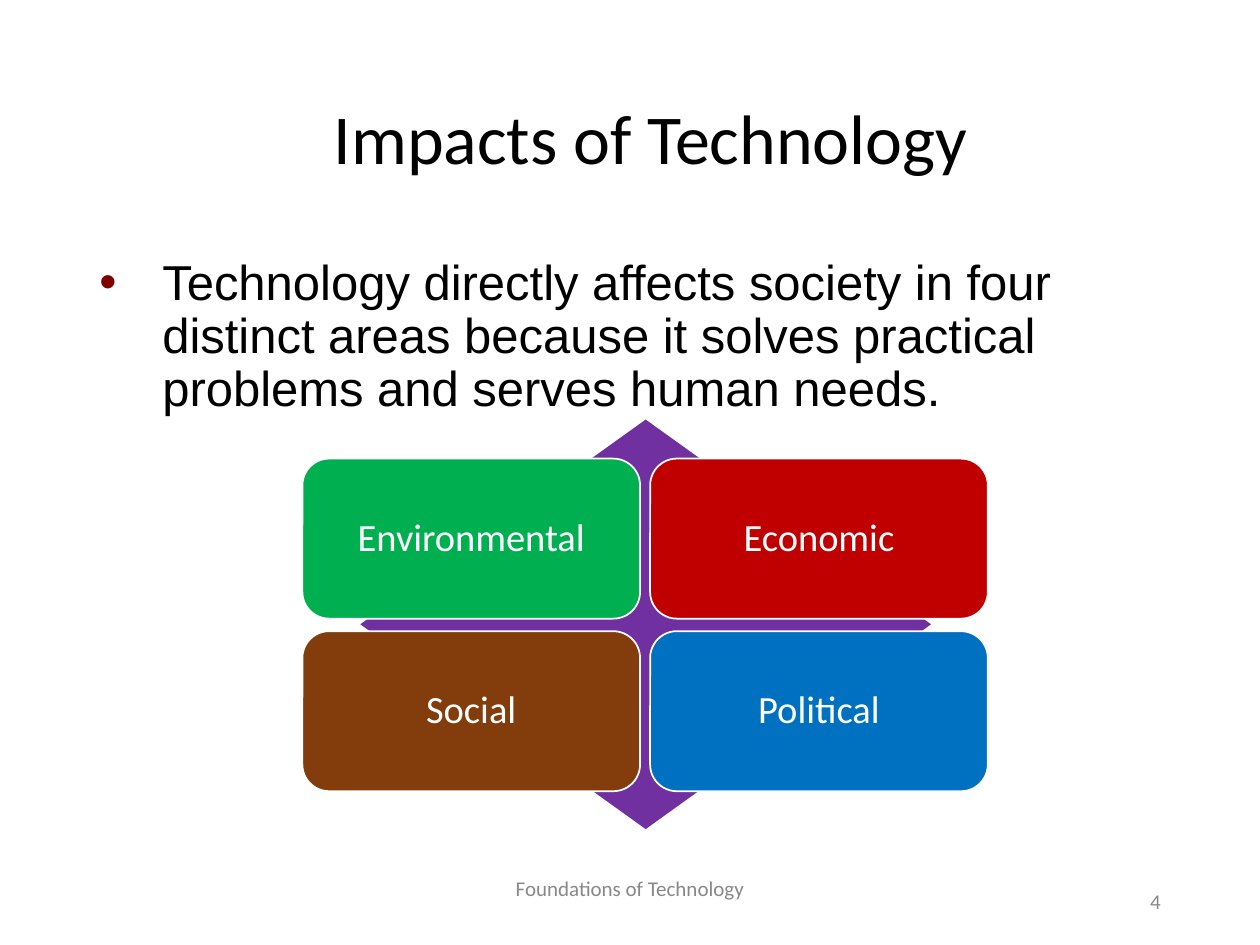
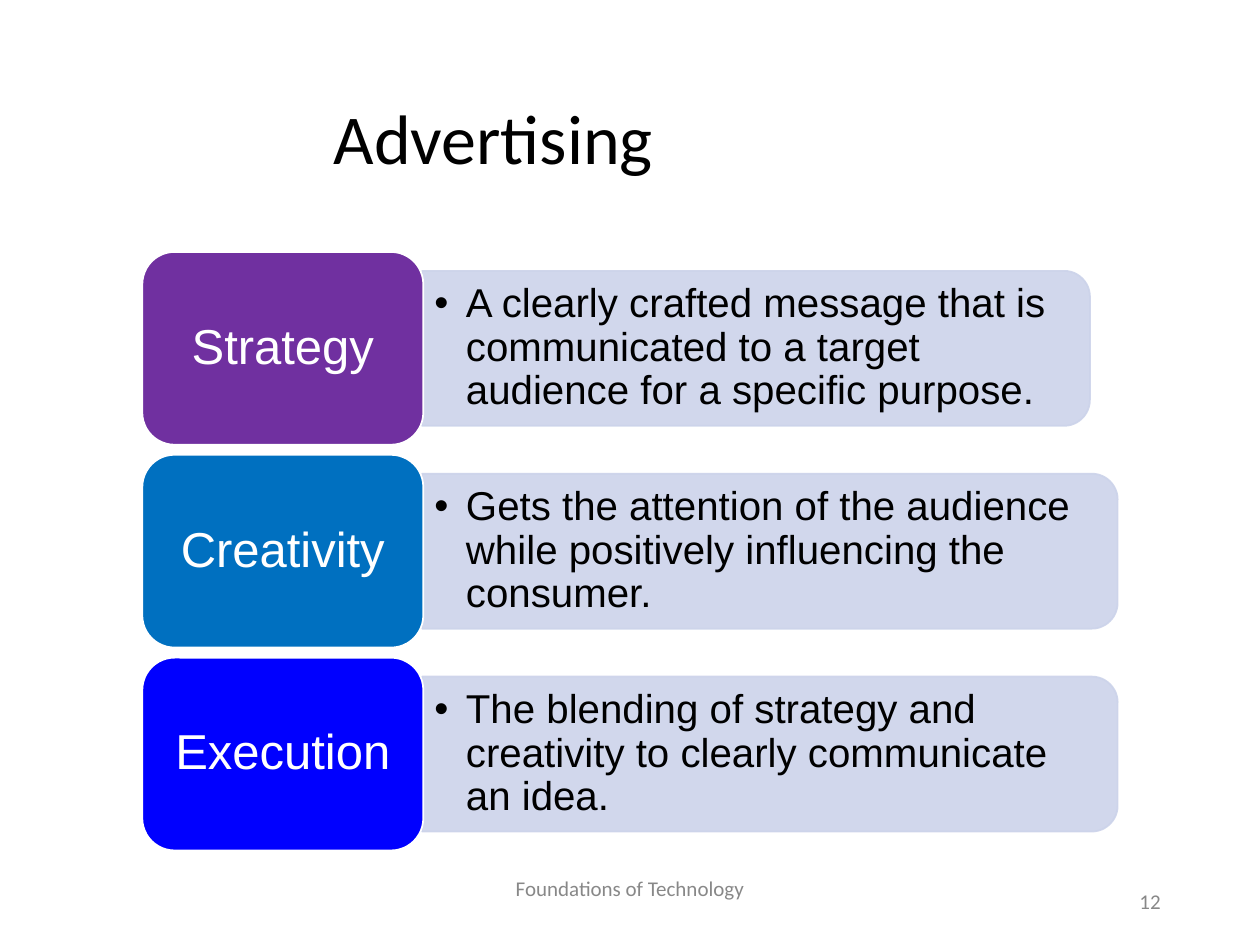
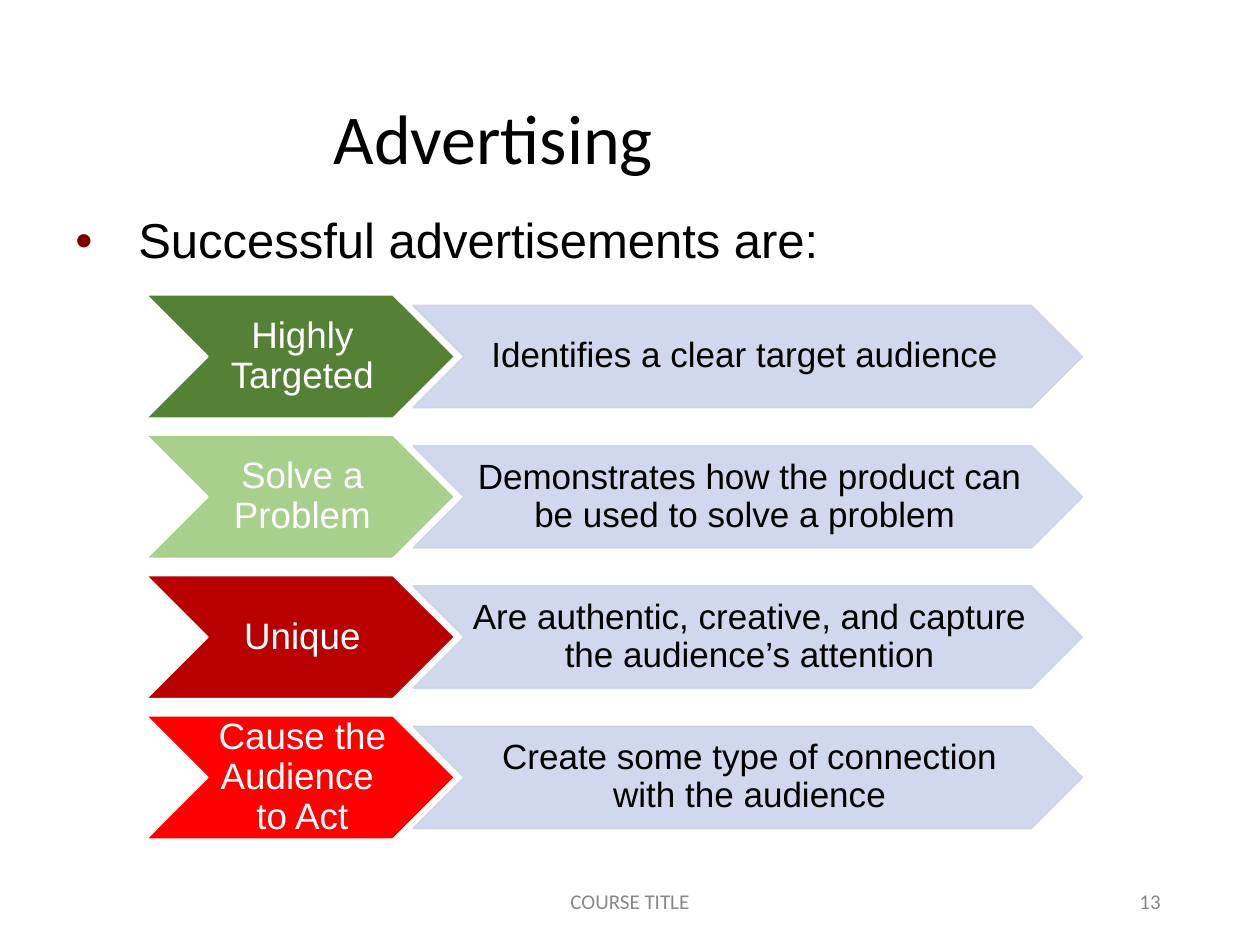
import pptx
import pptx.dml.color
import pptx.enum.shapes
import pptx.enum.text
import pptx.oxml
import pptx.oxml.ns
import pptx.util
from lxml import etree

Inches = pptx.util.Inches
Pt = pptx.util.Pt
SHAPE = pptx.enum.shapes.MSO_SHAPE
ALIGN = pptx.enum.text.PP_ALIGN
ANCHOR = pptx.enum.text.MSO_ANCHOR

COLORS = {
    "black": "000000", "white": "FFFFFF", "gray": "888888", "maroon": "800000",
    "purple": "7030A0", "green": "00B050", "crimson": "C00000", "brown": "833C0B",
    "azure": "0070C0", "blue": "0000FF", "pale": "CCD3EA", "moss": "548135",
    "lime": "A8D08C", "dark red": "B90000", "red": "FF0000",
}
HEADING_FONT, BODY_FONT = "Calibri", "Arial"
BOX_INSETS = (0.1, 0.05, 0.1, 0.05)
CHEVRON_INSETS = (0.03, 0.01, 0, 0.01)
ROUNDING = 0.167
PALE_OPACITY = 89


def rgb(name):
    return pptx.dml.color.RGBColor.from_string(COLORS[name])


def add_element(parent, tag, **attributes):
    element = etree.SubElement(parent, pptx.oxml.ns.qn(tag))
    for key, value in attributes.items():
        element.set(key, str(value))
    return element


def add_bullet(paragraph, color, indent):
    properties = paragraph._p.get_or_add_pPr()
    properties.set("marL", str(Inches(indent)))
    properties.set("indent", str(-Inches(indent)))
    add_element(add_element(properties, "a:buClr"), "a:srgbClr", val=COLORS[color])
    add_element(properties, "a:buFont", typeface=BODY_FONT)
    add_element(properties, "a:buChar", char="•")


def write(frame, text, size, font=BODY_FONT, color="black", align=ALIGN.LEFT,
          anchor=ANCHOR.MIDDLE, insets=BOX_INSETS, spacing=0.9, bullet=None, indent=0.5):
    frame.word_wrap = True
    frame.vertical_anchor = anchor
    (frame.margin_left, frame.margin_top,
     frame.margin_right, frame.margin_bottom) = map(Inches, insets)
    paragraph = frame.paragraphs[0]
    if bullet:
        add_bullet(paragraph, bullet, indent)
    paragraph.text = text
    paragraph.alignment = align
    paragraph.line_spacing = spacing
    for run in paragraph.runs:
        run.font.size = Pt(size)
        run.font.name = font
        run.font.color.rgb = rgb(color)


class Deck:
    def __init__(self):
        self.presentation = pptx.Presentation()
        self.presentation.slide_width = Inches(10)
        self.presentation.slide_height = Inches(7.5)

    def start_slide(self, title, footer, number, footer_top=6.95):
        blank = self.presentation.slide_layouts[6]
        self.slide = self.presentation.slides.add_slide(blank)
        self.text((2.55, 0.4, 6.76, 1.45), title, size=40, font=HEADING_FONT)
        small = dict(size=12, font=HEADING_FONT, color="gray", spacing=1.0)
        self.text((3.31, footer_top, 3.38, 0.4), footer, align=ALIGN.CENTER, **small)
        self.text((7.06, 6.95, 2.25, 0.4), number, align=ALIGN.RIGHT, **small)

    def text(self, box, text, **style):
        holder = self.slide.shapes.add_textbox(*map(Inches, box))
        write(holder.text_frame, text, **style)

    def lead(self, box, text):
        self.text(box, text, size=28, anchor=ANCHOR.TOP, bullet="maroon")

    def shape(self, kind, box, fill, line="white", adjustments=(), text=None, **style):
        shape = self.slide.shapes.add_shape(kind, *map(Inches, box))
        shape.shadow.inherit = False
        for index, value in enumerate(adjustments):
            shape.adjustments[index] = value
        shape.fill.solid()
        shape.fill.fore_color.rgb = rgb(fill)
        if line:
            shape.line.color.rgb = rgb(line)
            shape.line.width = Pt(1)
        else:
            shape.line.fill.background()
        if text:
            write(shape.text_frame, text, align=ALIGN.CENTER, **style)
        return shape

    def pale_shape(self, kind, box, **options):
        shape = self.shape(kind, box, "pale", line="pale", **options)
        for color in shape._element.spPr.iter(pptx.oxml.ns.qn("a:srgbClr")):
            add_element(color, "a:alpha", val=PALE_OPACITY * 1000)
        return shape

    def tile(self, box, text, fill, **style):
        self.shape(SHAPE.ROUNDED_RECTANGLE, box, fill, adjustments=[ROUNDING],
                   text=text, color="white", **style)

    def side_bar(self, left, top, width, height):
        """Bar rounded at its right end only: a top-rounded shape turned by 90 degrees."""
        box = (left + (width - height) / 2, top - (width - height) / 2, height, width)
        bar = self.pale_shape(SHAPE.ROUND_2_SAME_RECTANGLE, box, adjustments=[ROUNDING, 0])
        bar.rotation = 90


def build_impacts(deck):
    deck.start_slide("Impacts of Technology", "Foundations of Technology", "4", 6.85)
    deck.lead((0.69, 2, 8.62, 4.76),
              "Technology directly affects society in four distinct areas because it "
              "solves practical problems and serves human needs.")
    deck.shape(SHAPE.DIAMOND, (2.86, 3.33, 4.53, 3.25), "purple", line=None)
    areas = [("Environmental", "green"), ("Economic", "crimson"),
             ("Social", "brown"), ("Political", "azure")]
    for index, (area, fill) in enumerate(areas):
        row, column = divmod(index, 2)
        deck.tile((2.4 + 2.76 * column, 3.64 + 1.37 * row, 2.68, 1.27), area, fill,
                  size=22, font=HEADING_FONT, insets=(0.09,) * 4)


def build_elements(deck):
    deck.start_slide("Advertising", "Foundations of Technology", "12", 6.85)
    elements = [
        ("Strategy", "purple", 5.3, "A clearly crafted message that is communicated "
         "to a target audience for a specific purpose."),
        ("Creativity", "azure", 5.52, "Gets the attention of the audience while "
         "positively influencing the consumer."),
        ("Execution", "blue", 5.52, "The blending of strategy and creativity to clearly "
         "communicate \nan idea."),
    ]
    for row, (element, fill, width, meaning) in enumerate(elements):
        top = 2 + 1.61 * row
        deck.side_bar(3.35, top + 0.15, width, 1.23)
        deck.text((3.35, top + 0.21, width - 0.06, 1.11), meaning, size=23,
                  bullet="black", indent=0.25)
        deck.tile((1.13, top, 2.23, 1.53), element, fill, size=28,
                  insets=(0.12, 0.06, 0.12, 0.06))


def build_success(deck):
    deck.start_slide("Advertising", "COURSE TITLE", "13")
    deck.lead((0.5, 1.67, 8.58, 5.08), "Successful advertisements are:")
    traits = [
        ("Highly Targeted", "moss", "Identifies a clear target audience "),
        ("Solve a Problem", "lime",
         "Demonstrates how the product can be used to solve a problem "),
        ("Unique", "dark red",
         "Are authentic, creative, and capture the audience’s attention"),
        ("Cause the Audience \nto Act", "red",
         "Create some type of connection with the audience"),
    ]
    first_top, last_top = 2.34, 5.68
    trait_height, meaning_height = 0.98, 0.81
    pitch = (last_top - first_top) / (len(traits) - 1)
    for row, (trait, fill, meaning) in enumerate(traits):
        top = first_top + pitch * row
        meaning_top = top + (trait_height - meaning_height) / 2
        deck.shape(SHAPE.CHEVRON, (1.16, top, 2.45, trait_height), fill, adjustments=[0.5],
                   text=trait, size=21, color="white", insets=CHEVRON_INSETS)
        deck.pale_shape(SHAPE.CHEVRON, (3.28, meaning_top, 5.31, meaning_height),
                        adjustments=[0.5], text=meaning, size=20, insets=CHEVRON_INSETS)


def main():
    deck = Deck()
    build_impacts(deck)
    build_elements(deck)
    build_success(deck)
    deck.presentation.save("out.pptx")


if __name__ == "__main__":
    main()
